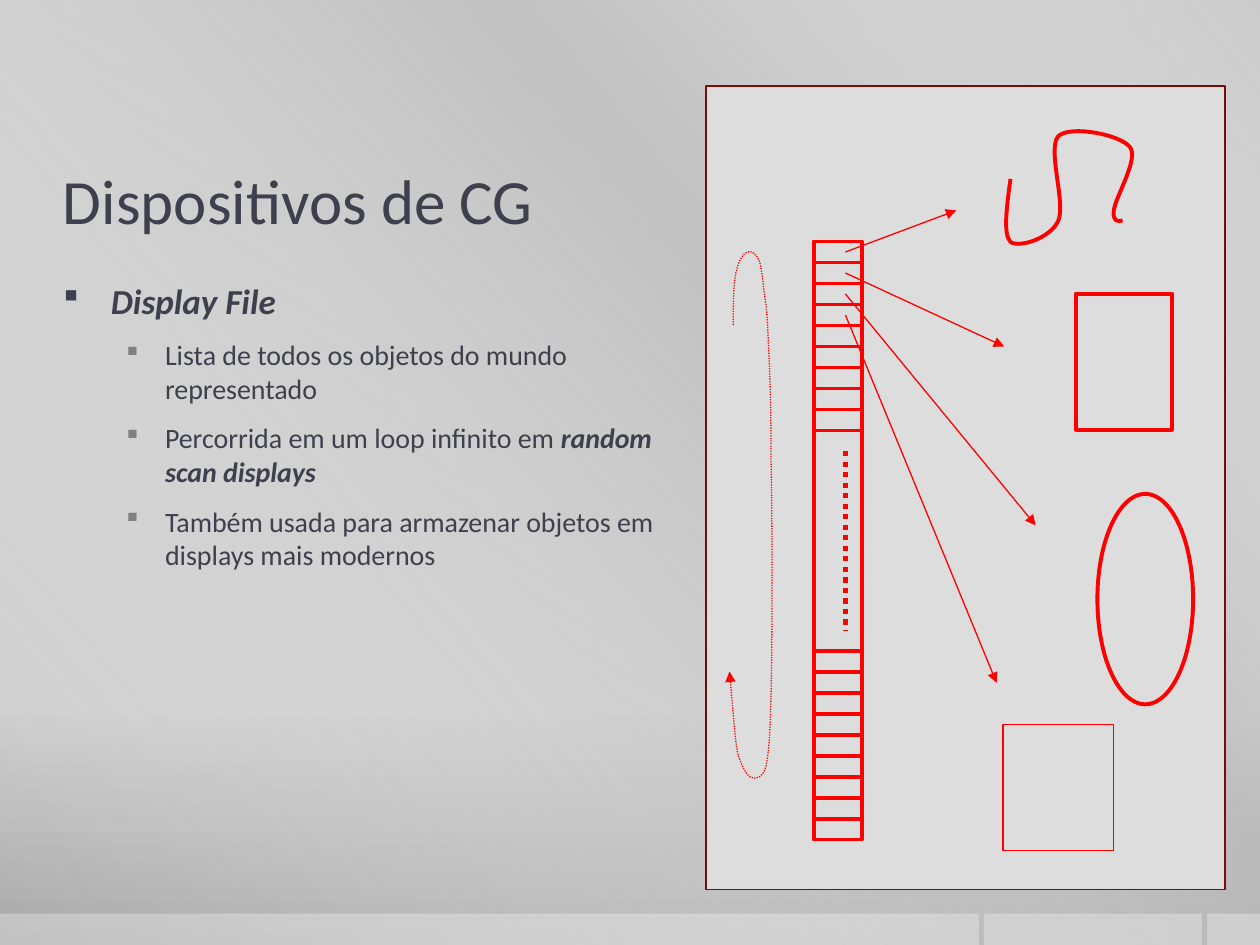
from lxml import etree
from pptx import Presentation
from pptx.dml.color import RGBColor
from pptx.enum.dml import MSO_LINE
from pptx.enum.shapes import MSO_CONNECTOR, MSO_SHAPE
from pptx.enum.text import MSO_ANCHOR
from pptx.oxml.ns import qn
from pptx.util import Inches, Pt

RECTANGLE, OVAL = MSO_SHAPE.RECTANGLE, MSO_SHAPE.OVAL
STRAIGHT, DOTTED = MSO_CONNECTOR.STRAIGHT, MSO_LINE.ROUND_DOT
FONT, INK, RED, BULLET_GREY = "Calibri", "3F3F4D", "FF0000", "808080"

TITLE = "Dispositivos de CG"
BODY = [
    (0, [("Display File", True)]),
    (1, [("Lista de todos os objetos do mundo representado", False)]),
    (1, [("Percorrida em um loop infinito em ", False), ("random scan displays", True)]),
    (1, [("Também usada para armazenar objetos em displays mais modernos", False)]),
]
LEVELS = [
    {"size": 20, "left": 0.38, "hang": 0.38, "before": 0, "bullet": INK},
    {"size": 16, "left": 0.81, "hang": 0.31, "before": 3.2, "bullet": BULLET_GREY},
]
BACKGROUND = [(0, "CBCBCB", 100), (76, "C8C8C8", 100), (100, "A7A7A7", 100)]
SHEEN = [(0, "FFFFFF", 0), (34, "BFBFBF", 61), (38, "BFBFBF", 76), (100, "FFFFFF", 0)]
FOOTER_STRIPS = [(0, 7.77), (7.81, 1.73), (9.58, 0.42)]
CELL_STEP, CELL_COUNT = 1 / 6, 10
CELL_TOP = 2 - CELL_STEP / 2
CELL_HEIGHTS = {4: 4.08, 9: 2.42}
POINTERS = [(7.59, 1.67), (7.97, 2.75), (8.22, 4.17), (7.91, 5.42)]
OBJECTS = [
    (RECTANGLE, (8.54, 2.33, 0.76, 1.08), 2.25),
    (OVAL, (8.71, 3.92, 0.76, 1.67), 2.25),
    (RECTANGLE, (7.96, 5.75, 0.88, 1), 0.75),
]
SQUIGGLE = [
    (8.02, 1.42), (7.99, 1.64), (7.96, 1.86), (8.02, 1.92), (8.09, 1.97), (8.34, 1.89),
    (8.4, 1.75), (8.46, 1.61), (8.31, 1.18), (8.4, 1.08), (8.5, 0.99), (8.9, 1.07),
    (8.97, 1.17), (9.04, 1.26), (8.85, 1.57), (8.84, 1.67), (8.83, 1.76), (8.87, 1.76),
    (8.91, 1.75),
]
LOOP = [
    (5.82, 2.58), (5.82, 2.42), (5.82, 2.26), (5.84, 2.17), (5.86, 2.07), (5.9, 2.01),
    (5.93, 2), (5.97, 1.99), (6, 2.01), (6.03, 2.08), (6.05, 2.15), (6.06, 2.31),
    (6.08, 2.42), (6.09, 2.53), (6.09, 2.54), (6.1, 2.75), (6.11, 2.96), (6.12, 3.21),
    (6.12, 3.67), (6.13, 4.12), (6.13, 5.1), (6.12, 5.5), (6.11, 5.9), (6.1, 5.97),
    (6.08, 6.08), (6.05, 6.19), (5.99, 6.18), (5.96, 6.17), (5.92, 6.15), (5.89, 6.08),
    (5.86, 6), (5.84, 5.92), (5.83, 5.78), (5.82, 5.67), (5.81, 5.56), (5.8, 5.44),
    (5.79, 5.33),
]


def color(value):
    return RGBColor.from_string(value)


def add_alpha(color_element, percent):
    etree.SubElement(color_element, qn("a:alpha"), val=str(percent * 1000))


def set_gradient(fill, holder, stops, clockwise):
    fill.gradient()
    fill.gradient_angle = (360 - clockwise) % 360
    stop_list = next(holder.iter(qn("a:gsLst")))
    for old in list(stop_list):
        stop_list.remove(old)
    for position, value, opacity in stops:
        stop = etree.SubElement(stop_list, qn("a:gs"), pos=str(position * 1000))
        stop_color = etree.SubElement(stop, qn("a:srgbClr"), val=value)
        if opacity < 100:
            add_alpha(stop_color, opacity)


def style_line(line, width, value=RED, dash=None, arrow=False):
    line.color.rgb = color(value)
    line.width = Pt(width)
    if dash:
        line.dash_style = dash
    if arrow:
        etree.SubElement(line._get_or_add_ln(), qn("a:tailEnd"), type="triangle")


def add_plain_shape(page, kind, bounds):
    shape = page.shapes.add_shape(kind, *map(Inches, bounds))
    shape.shadow.inherit = False
    shape.fill.background()
    shape.line.fill.background()
    return shape


def add_outline(page, kind, bounds, width):
    style_line(add_plain_shape(page, kind, bounds).line, width)


def add_line(page, start, end, width, **style):
    connector = page.shapes.add_connector(STRAIGHT, *map(Inches, start + end))
    style_line(connector.line, width, **style)
    etree.SubElement(connector._element.spPr, qn("a:effectLst"))


def add_curve(page, controls, width, **style):
    points = [(Inches(x), Inches(y)) for x, y in controls]
    builder = page.shapes.build_freeform(*points[0])
    builder.add_line_segments(points[1:], close=False)
    curve = builder.convert_to_shape()
    outline = next(curve._element.iter(qn("a:path")))
    segments = outline.findall(qn("a:lnTo"))
    for first in range(0, len(segments), 3):
        bezier = etree.SubElement(outline, qn("a:cubicBezTo"))
        for segment in segments[first:first + 3]:
            bezier.append(segment[0])
            outline.remove(segment)
    curve.shadow.inherit = False
    curve.fill.background()
    style_line(curve.line, width, **style)


def add_text_frame(page, bounds, anchor):
    frame = page.shapes.add_textbox(*map(Inches, bounds)).text_frame
    frame.word_wrap = True
    frame.vertical_anchor = anchor
    frame.margin_left = frame.margin_right = 0
    frame.margin_top = frame.margin_bottom = Inches(0.05)
    return frame


def add_span(para, text, size, emphasis=False):
    span = para.add_run()
    span.text = text
    font = span.font
    font.name, font.size, font.color.rgb = FONT, Pt(size), color(INK)
    font.bold = font.italic = emphasis


def add_bullet(para, level):
    properties = para._p.get_or_add_pPr()
    properties.set("marL", str(Inches(level["left"])))
    properties.set("indent", str(-Inches(level["hang"])))
    bullet_color = etree.SubElement(properties, qn("a:buClr"))
    etree.SubElement(bullet_color, qn("a:srgbClr"), val=level["bullet"])
    etree.SubElement(properties, qn("a:buFont"), typeface="Wingdings", charset="2")
    etree.SubElement(properties, qn("a:buChar"), char="§")


def add_backdrop(page):
    set_gradient(page.background.fill, page._element, BACKGROUND, 90)
    sheen = add_plain_shape(page, RECTANGLE, (0, 0, 10, 7.5))
    set_gradient(sheen.fill, sheen._element, SHEEN, 140)
    for left, width in FOOTER_STRIPS:
        strip = add_plain_shape(page, RECTANGLE, (left, 7.25, width, 0.25))
        strip.fill.solid()
        strip.fill.fore_color.rgb = color("FFFFFF")
        add_alpha(next(strip._element.spPr.iter(qn("a:srgbClr"))), 30)


def add_texts(page):
    title = add_text_frame(page, (0.5, 1.08, 9, 1), MSO_ANCHOR.MIDDLE)
    add_span(title.paragraphs[0], TITLE, 36)
    body = add_text_frame(page, (0.5, 2.17, 4.89, 4.53), MSO_ANCHOR.TOP)
    for index, (depth, spans) in enumerate(BODY):
        para = body.add_paragraph() if index else body.paragraphs[0]
        level = LEVELS[depth]
        para.level = depth
        add_bullet(para, level)
        para.space_before, para.space_after = Pt(level["before"]), Pt(6)
        for text, emphasis in spans:
            add_span(para, text, level["size"], emphasis)


def add_diagram(page):
    panel = add_plain_shape(page, RECTANGLE, (5.6, 0.68, 4.12, 6.38))
    panel.fill.solid()
    panel.fill.fore_color.rgb = color("DDDDDD")
    style_line(panel.line, 1.1, "7A0C07")
    for row in range(CELL_COUNT):
        top = CELL_TOP + row * CELL_STEP
        add_outline(page, RECTANGLE, (6.46, top, 0.38, CELL_HEIGHTS.get(row, 3.25)), 2.25)
    add_line(page, (6.71, 3.58), (6.71, 5), 3, dash=DOTTED)
    for row, target in enumerate(POINTERS):
        add_line(page, (6.71, 2 + row * CELL_STEP), target, 0.75, arrow=True)
    for kind, bounds, width in OBJECTS:
        add_outline(page, kind, bounds, width)
    add_curve(page, SQUIGGLE, 2.25)
    add_curve(page, LOOP, 0.75, dash=DOTTED, arrow=True)


def main():
    """Build the display file slide."""
    deck = Presentation()
    deck.slide_width, deck.slide_height = Inches(10), Inches(7.5)
    page = deck.slides.add_slide(deck.slide_layouts[6])
    add_backdrop(page)
    add_diagram(page)
    add_texts(page)
    deck.save("out.pptx")


if __name__ == "__main__":
    main()
